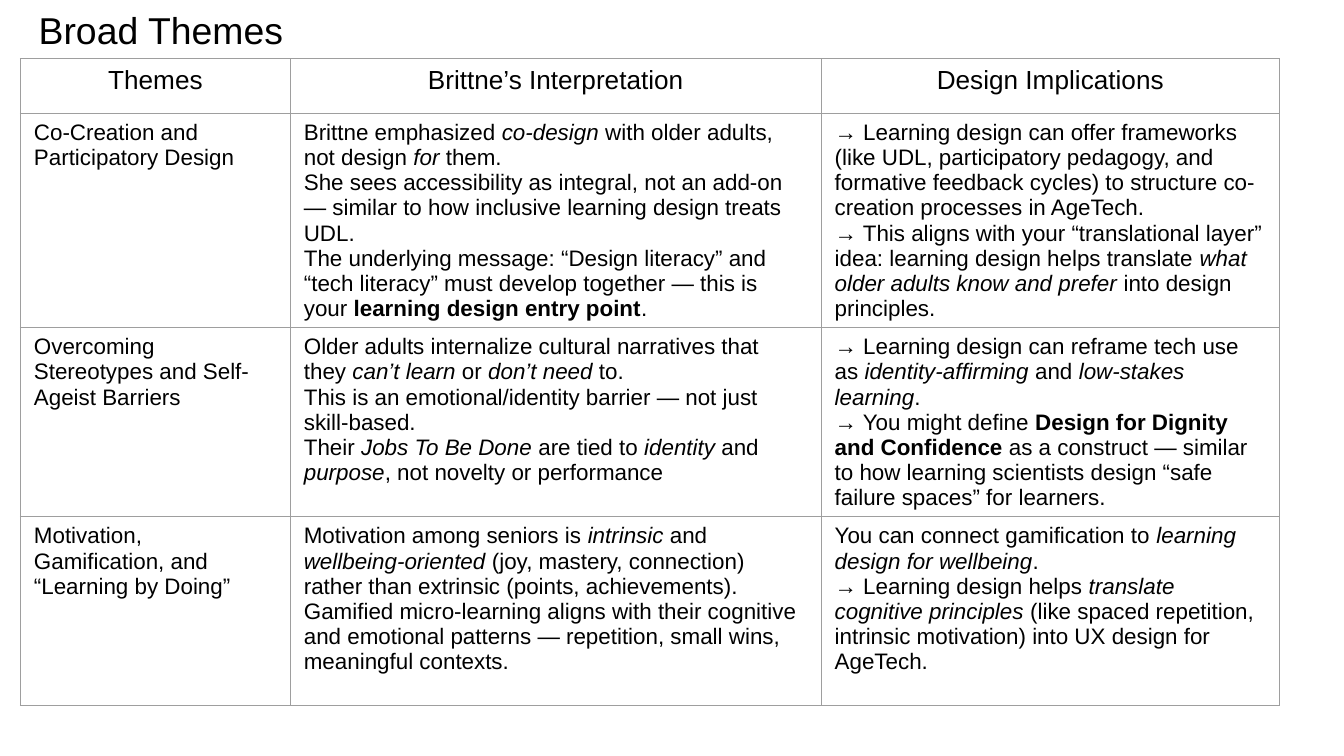
from dataclasses import dataclass

from lxml import etree
from pptx import Presentation
from pptx.dml.color import RGBColor
from pptx.enum.text import MSO_ANCHOR, MSO_AUTO_SIZE, PP_ALIGN
from pptx.oxml.ns import qn
from pptx.util import Pt

LEFT, CENTER = PP_ALIGN.LEFT, PP_ALIGN.CENTER
TOP, MIDDLE = MSO_ANCHOR.TOP, MSO_ANCHOR.MIDDLE
NO_AUTOFIT = MSO_AUTO_SIZE.NONE
TITLE_ONLY = 5


@dataclass(frozen=True)
class Theme:
    font: str = "Arial"
    text: str = "000000"
    background: str = "FFFFFF"
    border: str = "9E9E9E"
    border_width: float = 0.75
    title_size: float = 20
    header_size: float = 14
    body_size: float = 12
    margin_x: float = 7.2
    margin_y: float = 3.6


COLUMN_WIDTHS = [144.6, 284.4, 245.5]
ROW_HEIGHTS = [29.5, 114.6, 101.2, 101.2]

# Each cell is a list of paragraphs; *italic*, **bold**, and \n for a line break.
HEADERS = [["Themes"], ["Brittne’s Interpretation"], ["Design Implications"]]
THEMES = [
    [
        ["Co-Creation and Participatory Design"],
        [
            "Brittne emphasized *co-design* with older adults, not design *for* them.",
            "She sees accessibility as integral, not an add-on — similar to how "
            "inclusive learning design treats UDL.",
            "The underlying message: “Design literacy” and “tech literacy” must "
            "develop together — this is your **learning design entry point**.",
        ],
        [
            "→ Learning design can offer frameworks (like UDL, participatory "
            "pedagogy, and formative feedback cycles) to structure co-creation "
            "processes in AgeTech.\n→ This aligns with your “translational layer” "
            "idea: learning design helps translate *what older adults know and "
            "prefer* into design principles.",
        ],
    ],
    [
        ["Overcoming Stereotypes and Self-Ageist Barriers"],
        [
            "Older adults internalize cultural narratives that they *can’t learn* "
            "or *don’t need* to.",
            "This is an emotional/identity barrier — not just skill-based.",
            "Their *Jobs To Be Done* are tied to *identity* and *purpose*, not "
            "novelty or performance",
        ],
        [
            "→ Learning design can reframe tech use as *identity-affirming* and "
            "*low-stakes learning*.\n→ You might define **Design for Dignity and "
            "Confidence** as a construct — similar to how learning scientists "
            "design “safe failure spaces” for learners.",
        ],
    ],
    [
        ["Motivation, Gamification, and “Learning by Doing”"],
        [
            "Motivation among seniors is *intrinsic* and *wellbeing-oriented* (joy, "
            "mastery, connection) rather than extrinsic (points, achievements).",
            "Gamified micro-learning aligns with their cognitive and emotional "
            "patterns — repetition, small wins, meaningful contexts.",
        ],
        [
            "You can connect gamification to *learning design for wellbeing*.\n"
            "→ Learning design helps *translate cognitive principles* (like spaced "
            "repetition, intrinsic motivation) into UX design for AgeTech.",
        ],
    ],
]


def split_styles(text):
    """Yield (text, bold, italic) for each stretch of marked-up text."""
    for bold_index, part in enumerate(text.split("**")):
        for italic_index, piece in enumerate(part.split("*")):
            if piece:
                yield piece, bold_index % 2 == 1, italic_index % 2 == 1


def fill_text(text_frame, paragraphs, *, font, size, color, align=LEFT):
    for index, text in enumerate(paragraphs):
        paragraph = text_frame.paragraphs[0] if index == 0 else text_frame.add_paragraph()
        paragraph.alignment = align
        paragraph.space_before = paragraph.space_after = Pt(0)
        for piece, bold, italic in split_styles(text):
            for line_index, line in enumerate(piece.split("\n")):
                if line_index:
                    paragraph.add_line_break()
                run = paragraph.add_run()
                run.text = line
                run.font.name = font
                run.font.size = Pt(size)
                run.font.bold = bold
                run.font.italic = italic
                run.font.color.rgb = RGBColor.from_string(color)


class SlideBuilder:
    def __init__(self, slide, theme):
        self.slide = slide
        self.theme = theme

    def set_margins(self, target):
        target.margin_left = target.margin_right = Pt(self.theme.margin_x)
        target.margin_top = target.margin_bottom = Pt(self.theme.margin_y)

    def themed_text(self, text_frame, paragraphs, **text_format):
        fill_text(text_frame, paragraphs, font=self.theme.font,
                  color=self.theme.text, **text_format)

    def title(self, text, left, top, width, height):
        title = self.slide.shapes.title
        title.left, title.top = Pt(left), Pt(top)
        title.width, title.height = Pt(width), Pt(height)
        text_frame = title.text_frame
        text_frame.word_wrap = True
        text_frame.auto_size = NO_AUTOFIT
        text_frame.vertical_anchor = MIDDLE
        self.set_margins(text_frame)
        self.themed_text(text_frame, [text], size=self.theme.title_size)

    def cell_borders(self, cell):
        properties = cell._tc.get_or_add_tcPr()
        for side in ("a:lnL", "a:lnR", "a:lnT", "a:lnB"):
            line = etree.SubElement(properties, qn(side),
                                    w=str(Pt(self.theme.border_width)))
            fill = etree.SubElement(line, qn("a:solidFill"))
            etree.SubElement(fill, qn("a:srgbClr"), val=self.theme.border)

    def cell(self, cell, paragraphs, **text_format):
        self.cell_borders(cell)
        cell.fill.solid()
        cell.fill.fore_color.rgb = RGBColor.from_string(self.theme.background)
        cell.vertical_anchor = TOP
        self.set_margins(cell)
        self.themed_text(cell.text_frame, paragraphs, **text_format)

    def table(self, rows, left, top, column_widths, row_heights):
        table = self.slide.shapes.add_table(
            len(rows), len(column_widths), Pt(left), Pt(top),
            Pt(sum(column_widths)), Pt(sum(row_heights))).table
        table.first_row = table.horz_banding = False
        for column, width in zip(table.columns, column_widths):
            column.width = Pt(width)
        for row_index, (row, height) in enumerate(zip(rows, row_heights)):
            table.rows[row_index].height = Pt(height)
            is_header = row_index == 0
            size = self.theme.header_size if is_header else self.theme.body_size
            for column_index, paragraphs in enumerate(row):
                self.cell(table.cell(row_index, column_index), paragraphs,
                          size=size, align=CENTER if is_header else LEFT)


def main():
    presentation = Presentation()
    presentation.slide_width, presentation.slide_height = Pt(720), Pt(405)
    slide = presentation.slides.add_slide(presentation.slide_layouts[TITLE_ONLY])
    builder = SlideBuilder(slide, Theme())
    builder.title("Broad Themes", 13.5, 0, 695.5, 31.5)
    builder.table([HEADERS, *THEMES], 11, 31.4, COLUMN_WIDTHS, ROW_HEIGHTS)
    presentation.save("out.pptx")


if __name__ == "__main__":
    main()
